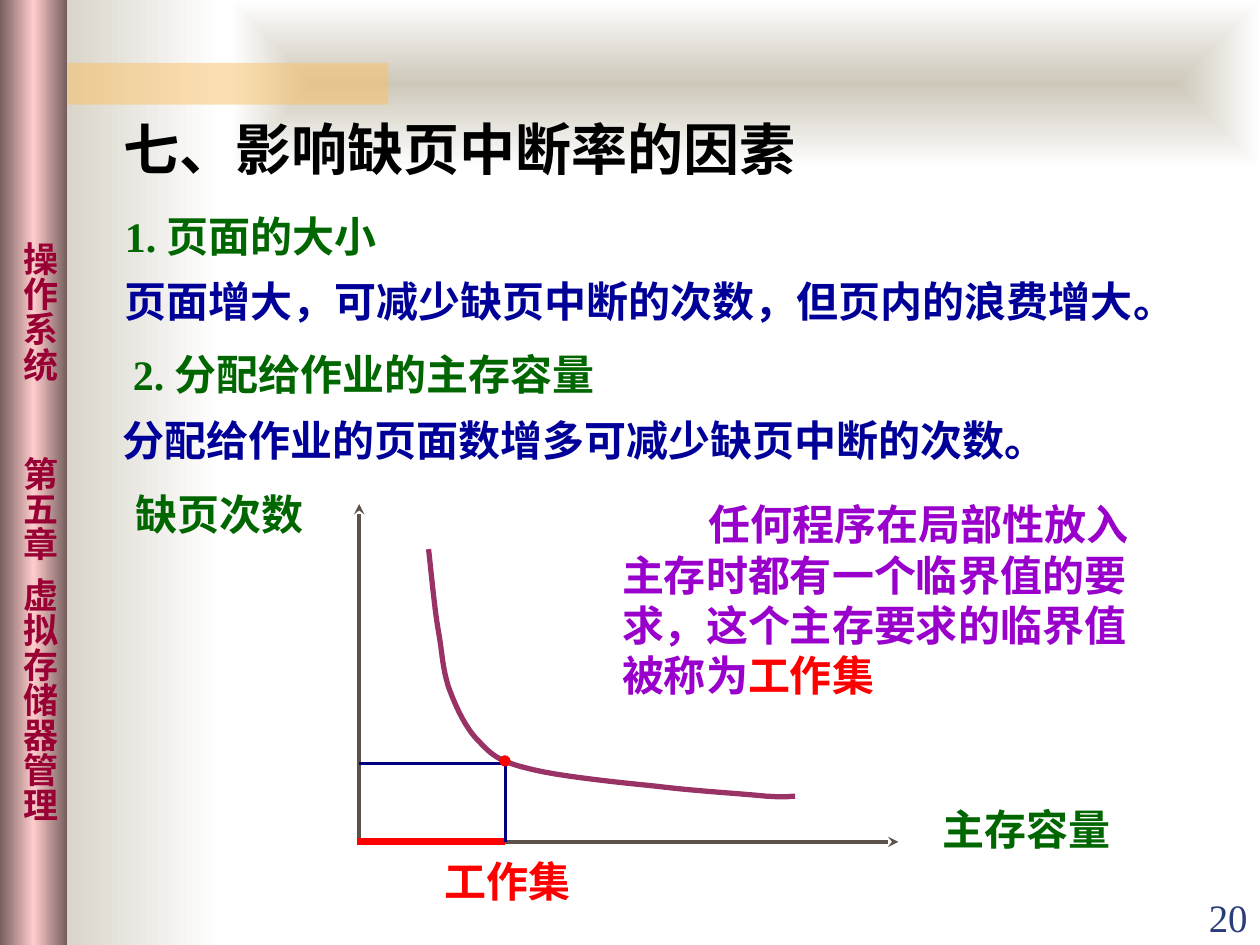
from lxml import etree
from pptx import Presentation
from pptx.dml.color import RGBColor
from pptx.enum.shapes import MSO_CONNECTOR, MSO_SHAPE
from pptx.enum.text import MSO_ANCHOR, PP_ALIGN
from pptx.oxml.ns import qn
from pptx.util import Cm, Pt

RECT, OVAL = MSO_SHAPE.RECTANGLE, MSO_SHAPE.OVAL
STRAIGHT = MSO_CONNECTOR.STRAIGHT
TOP, MIDDLE, BOTTOM = MSO_ANCHOR.TOP, MSO_ANCHOR.MIDDLE, MSO_ANCHOR.BOTTOM
LEFT, RIGHT = PP_ALIGN.LEFT, PP_ALIGN.RIGHT

COLORS = {
    "white": "FFFFFF", "black": "000000", "stone": "CEC8BA", "amber": "FAC164",
    "band edge": "765E5E", "band middle": "FFCCCC", "crimson": "990033",
    "axis": "5B5249", "page": "2A3D7A", "heading": "006600", "body": "000099",
    "note": "9900CC", "red": "FF0000", "curve": "993366", "guide": "000080",
}
LATIN, CJK = "Times New Roman", "Noto Sans CJK SC"


def color(name):
    return RGBColor.from_string(COLORS[name])


def bezier(start, segments, steps=12):
    """Points along a chain of cubic curves."""
    points = [start]
    for a, b, end in segments:
        first = points[-1]
        for step in range(1, steps + 1):
            t = step / steps
            u = 1 - t
            points.append(tuple(
                u**3 * first[i] + 3 * u * u * t * a[i] + 3 * u * t * t * b[i] + t**3 * end[i]
                for i in (0, 1)))
    return points


class SlideStyle:
    def __init__(self, slide):
        self.slide = slide
        self.shapes = slide.shapes

    def shape(self, kind, left, top, width, height, fill=None, alpha=None):
        shape = self.shapes.add_shape(kind, Cm(left), Cm(top), Cm(width), Cm(height))
        shape.shadow.inherit = False
        shape.line.fill.background()
        if fill:
            shape.fill.solid()
            shape.fill.fore_color.rgb = color(fill)
        if alpha:
            srgb = shape.fill._xPr.find(".//" + qn("a:srgbClr"))
            etree.SubElement(srgb, qn("a:alpha"), val=str(alpha * 1000))
        return shape

    def gradient(self, left, top, width, height, names, centred=False):
        shape = self.shape(RECT, left, top, width, height)
        shape.fill.background()
        properties = shape.fill._xPr
        grad = etree.Element(qn("a:gradFill"), rotWithShape="1")
        stops = etree.SubElement(grad, qn("a:gsLst"))
        for i, name in enumerate(names):
            stop = etree.SubElement(stops, qn("a:gs"), pos=str(100000 * i // (len(names) - 1)))
            etree.SubElement(stop, qn("a:srgbClr"), val=COLORS[name])
        if centred:
            route = etree.SubElement(grad, qn("a:path"))
            route.set("path", "rect")
            etree.SubElement(route, qn("a:fillToRect"), l="50000", t="50000", r="50000", b="50000")
        else:
            etree.SubElement(grad, qn("a:lin"), ang="0", scaled="1")
        properties.replace(properties.find(qn("a:noFill")), grad)
        return shape

    def format_run(self, run, name, size, bold=True, latin=LATIN):
        run.font.size, run.font.bold, run.font.name = Pt(size), bold, latin
        run.font.color.rgb = color(name)
        etree.SubElement(run.font._element, qn("a:ea"), typeface=CJK)

    def text(self, left, top, width, height, paragraphs, size=24, bold=True,
             anchor=TOP, align=LEFT, spacing=None, wrap=True):
        """Each paragraph is (first-line indent, [(text, colour), ...])."""
        frame = self.shapes.add_textbox(Cm(left), Cm(top), Cm(width), Cm(height)).text_frame
        frame.word_wrap = wrap
        frame.vertical_anchor = anchor
        for i, (indent, runs) in enumerate(paragraphs):
            paragraph = frame.add_paragraph() if i else frame.paragraphs[0]
            paragraph.alignment = align
            if spacing:
                paragraph.line_spacing = spacing
            if indent:
                paragraph._p.get_or_add_pPr().set("indent", str(Cm(indent)))
            for words, name in runs:
                run = paragraph.add_run()
                run.text = words
                self.format_run(run, name, size, bold)

    def label(self, left, top, width, words, name, **options):
        self.text(left, top, width, 1.27, [(0, [(words, name)])], **options)

    def vertical_text(self, shape, words, name, size, top, tabs):
        frame = shape.text_frame
        frame.text = words
        frame.margin_left = frame.margin_right = Cm(0.13)
        frame.margin_top, frame.margin_bottom = Cm(top), Cm(0.25)
        frame.vertical_anchor = TOP
        frame._txBody.bodyPr.set("vert", "eaVert")
        paragraph = frame.paragraphs[0]
        paragraph.alignment = LEFT
        tab_list = etree.SubElement(paragraph._p.get_or_add_pPr(), qn("a:tabLst"))
        for stop in tabs:
            etree.SubElement(tab_list, qn("a:tab"), pos=str(Cm(stop)), algn="l")
        for run in paragraph.runs:
            self.format_run(run, name, size, latin=CJK)

    def line(self, start, end, name, width, arrow=False):
        line = self.shapes.add_connector(STRAIGHT, *map(Cm, start + end))
        line.line.color.rgb = color(name)
        line.line.width = Pt(width)
        if arrow:
            etree.SubElement(line.line._get_or_add_ln(), qn("a:tailEnd"), type="stealth")
        etree.SubElement(line._element.spPr, qn("a:effectLst"))

    def curve(self, points, name, width):
        first, *rest = [(Cm(x), Cm(y)) for x, y in points]
        builder = self.shapes.build_freeform(*first)
        builder.add_line_segments(rest, close=False)
        shape = builder.convert_to_shape()
        shape.shadow.inherit = False
        shape.fill.background()
        shape.line.color.rgb = color(name)
        shape.line.width = Pt(width)


def main():
    deck = Presentation()
    deck.slide_width, deck.slide_height = Cm(25.4), Cm(19.05)
    page = SlideStyle(deck.slides.add_slide(deck.slide_layouts[6]))

    # Background decoration and chapter band
    page.gradient(0.43, 0, 4.01, 19.05, ["stone", "white"])
    page.gradient(4.65, 0, 20.75, 3.38, ["stone", "white"], centred=True)
    page.shape(RECT, 0.84, 1.27, 6.99, 0.84, "amber", alpha=50)
    band = page.gradient(0, 0, 1.35, 19.05, ["band edge", "band middle", "band edge"])
    page.vertical_text(band, "操作系统\t第五章\t虚拟存储器管理", "crimson", 20, 4.88, [4.32, 6.76])
    page.label(22.86, 17.81, 2.54, "20", "page", size=22.2, bold=False,
               anchor=BOTTOM, align=RIGHT)

    # Title and the two factors
    page.text(2.24, 2.18, 14.07, 1.63, [(0, [("七、影响缺页中断率的因素", "black")])],
              size=32, anchor=MIDDLE, wrap=False)
    page.text(2.06, 3.15, 22, 4.22, [
        (0.21, [("1. 页面的大小", "heading")]),
        (0.21, [("页面增大，可减少缺页中断的次数，但页内的浪费增大。", "body")]),
    ], anchor=MIDDLE, spacing=1.3)
    page.text(2.01, 6.6, 20.62, 2.9, [
        (0.42, [("2. 分配给作业的主存容量", "heading")]),
        (0.21, [("分配给作业的页面数增多可减少缺页中断的次数。", "body")]),
    ], anchor=MIDDLE, spacing=1.3)

    # Axes
    axis_x, axis_y, working_set_x = 7.24, 16.97, 10.19
    page.label(2.49, 9.73, 4.14, "缺页次数", "heading")
    page.line((axis_x, axis_y), (axis_x, 10.16), "axis", 2, arrow=True)
    page.label(18.75, 16.08, 3.96, "主存容量", "heading")
    page.line((7.19, axis_y), (18.11, axis_y), "axis", 2, arrow=True)

    # Page fault curve
    page.curve(bezier((8.64, 11.07), [
        ((8.71, 11.68), (8.76, 12.27), (8.84, 12.73)),
        ((8.92, 13.18), (8.92, 13.46), (9.04, 13.84)),
        ((9.17, 14.2), (9.37, 14.66), (9.65, 14.94)),
        ((9.91, 15.21), (10.03, 15.34), (10.64, 15.49)),
        ((11.25, 15.65), (12.45, 15.77), (13.23, 15.85)),
        ((14.05, 15.95), (14.96, 16), (15.44, 16.05)),
        ((15.9, 16.08), (15.93, 16.05), (16.03, 16.05)),
    ]), "curve", 3)

    # Working set and its explanation
    page.label(8.71, 17.12, 3.05, "工作集", "red", wrap=False)
    page.line((7.19, axis_y), (working_set_x, axis_y), "red", 4)
    page.text(12.29, 9.93, 11, 4.32, [(1.74, [
        ("任何程序在局部性放入主存时都有一个临界值的要求，这个主存要求的临界值被称为", "note"),
        ("工作集", "red"),
    ])])

    # Critical point with guides to both axes
    page.line((working_set_x, 15.39), (axis_x, 15.39), "guide", 2)
    page.line((working_set_x, 15.32), (working_set_x, axis_y), "guide", 2)
    dot = page.shape(OVAL, 10.08, 15.24, 0.2, 0.2, "red")
    dot.line.color.rgb = color("red")
    dot.line.width = Pt(0.75)

    deck.save("out.pptx")


if __name__ == "__main__":
    main()
